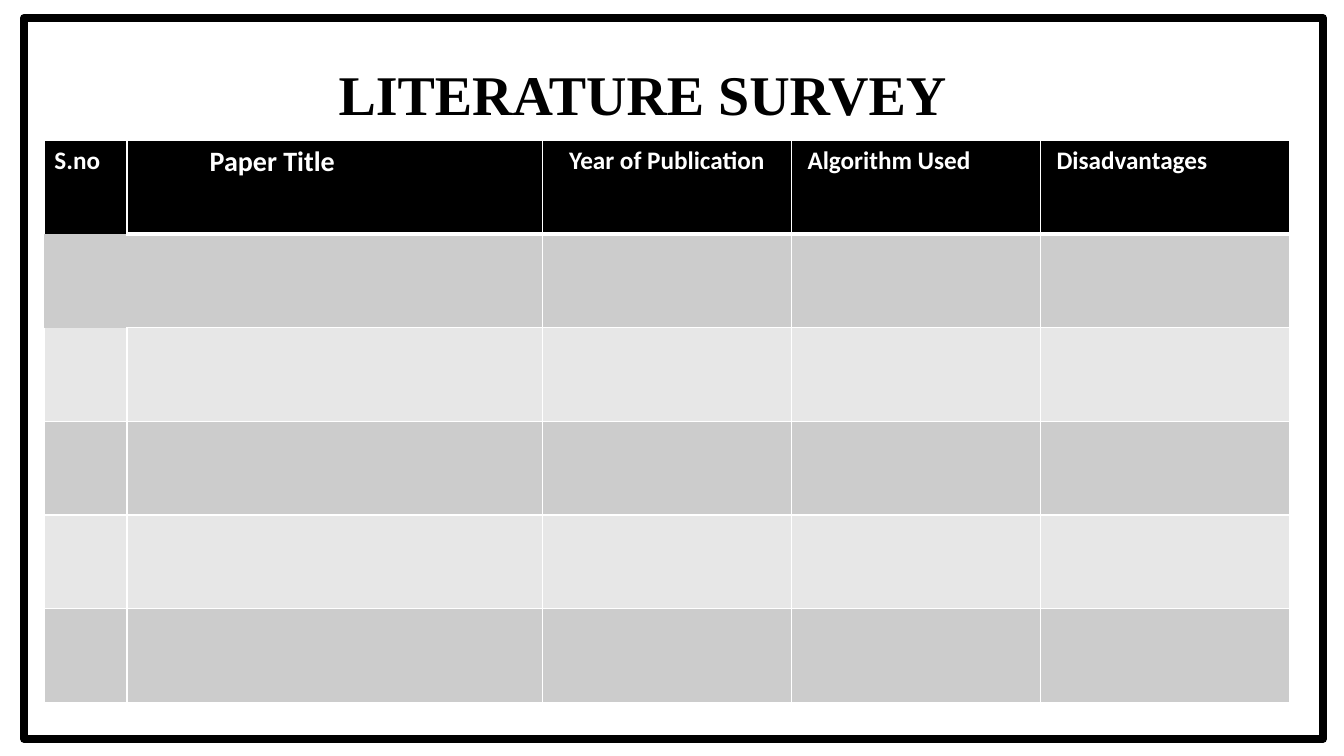
from lxml import etree
from pptx import Presentation
from pptx.dml.color import RGBColor
from pptx.enum.shapes import MSO_SHAPE
from pptx.enum.text import PP_ALIGN
from pptx.oxml.ns import qn
from pptx.util import Inches, Pt

RECTANGLE = MSO_SHAPE.RECTANGLE
LEFT, CENTER, JUSTIFY = PP_ALIGN.LEFT, PP_ALIGN.CENTER, PP_ALIGN.JUSTIFY

COLORS = {
    "black": "000000",
    "white": "FFFFFF",
    "dark_band": "CCCCCC",
    "light_band": "E7E7E7",
}

# Heading, column width, left margin, text size, alignment
COLUMNS = [
    ("S.no", 0.82, 0.1, 18, LEFT),
    ("Paper Title", 4.12, 0.82, 20, LEFT),
    ("Year of Publication", 2.47, 0.1, 18, CENTER),
    ("Algorithm Used", 2.47, 0.16, 18, LEFT),
    ("Disadvantages", 2.47, 0.16, 18, LEFT),
]
ROW_COUNT = 6
ROW_HEIGHT = 0.93

# Cell sides without a line, around the first cell below the header
OPEN_SIDES = {(0, 0): "B", (1, 0): "LRTB", (1, 1): "L", (2, 0): "T"}


def rgb(name):
    return RGBColor.from_string(COLORS[name])


def set_borders(cell, row, col):
    """Draw white cell borders, thicker below the header, none on open sides."""
    tcPr = cell._tc.get_or_add_tcPr()
    for side in "LRTB":
        thick = (row, side) in ((0, "B"), (1, "T"))
        ln = etree.SubElement(tcPr, qn("a:ln" + side), w=str(Pt(3 if thick else 1)))
        if side in OPEN_SIDES.get((row, col), ""):
            etree.SubElement(ln, qn("a:noFill"))
        else:
            fill = etree.SubElement(ln, qn("a:solidFill"))
            etree.SubElement(fill, qn("a:srgbClr"), val=COLORS["white"])


prs = Presentation()
prs.slide_width, prs.slide_height = Inches(13.33), Inches(7.5)
s = prs.slides.add_slide(prs.slide_layouts[6])

# Frame
frame = s.shapes.add_shape(RECTANGLE, Inches(0.24), Inches(0.18), Inches(12.88), Inches(7.15))
frame.shadow.inherit = False
frame.fill.background()
frame.line.color.rgb = rgb("black")
frame.line.width = Pt(6)

# Title
title = s.shapes.add_textbox(Inches(3.26), Inches(0.54), Inches(9.38), Inches(0.77))
tf = title.text_frame
tf.word_wrap = True
p = tf.paragraphs[0]
p.alignment = JUSTIFY
r = p.add_run()
r.text = "LITERATURE SURVEY"
r.font.name = "Times New Roman"
r.font.size = Pt(40)
r.font.bold = True
r.font.color.rgb = rgb("black")

# Survey table
table = s.shapes.add_table(ROW_COUNT, len(COLUMNS), Inches(0.44), Inches(1.39),
                           Inches(12.35), Inches(ROW_COUNT * ROW_HEIGHT)).table
for row in range(ROW_COUNT):
    table.rows[row].height = Inches(ROW_HEIGHT)
    band = "black" if row == 0 else "dark_band" if row % 2 else "light_band"
    for col in range(len(COLUMNS)):
        cell = table.cell(row, col)
        set_borders(cell, row, col)
        cell.fill.solid()
        cell.fill.fore_color.rgb = rgb(band)

for col, (heading, width, margin, size, alignment) in enumerate(COLUMNS):
    table.columns[col].width = Inches(width)
    cell = table.cell(0, col)
    cell.margin_left = Inches(margin)
    p = cell.text_frame.paragraphs[0]
    p.alignment = alignment
    r = p.add_run()
    r.text = heading
    r.font.name = "Calibri"
    r.font.size = Pt(size)
    r.font.bold = True
    r.font.color.rgb = rgb("white")

prs.save("out.pptx")
